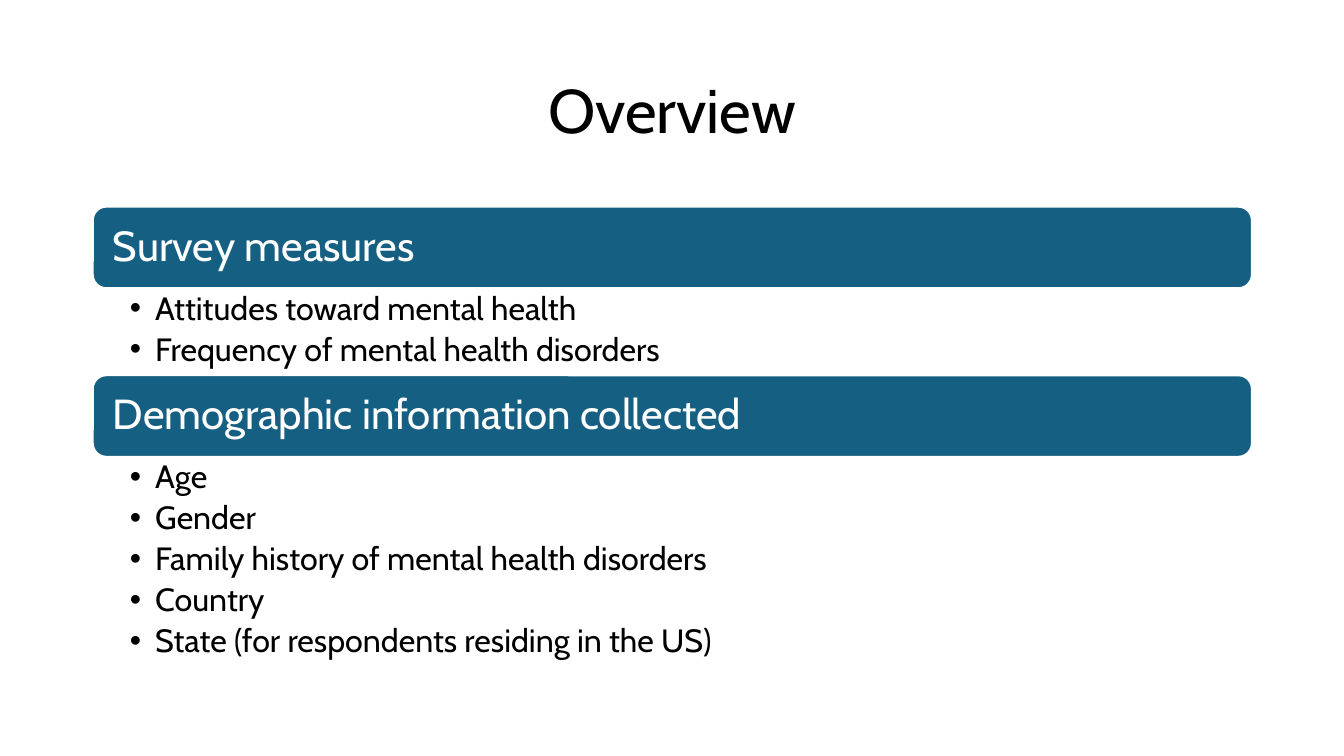
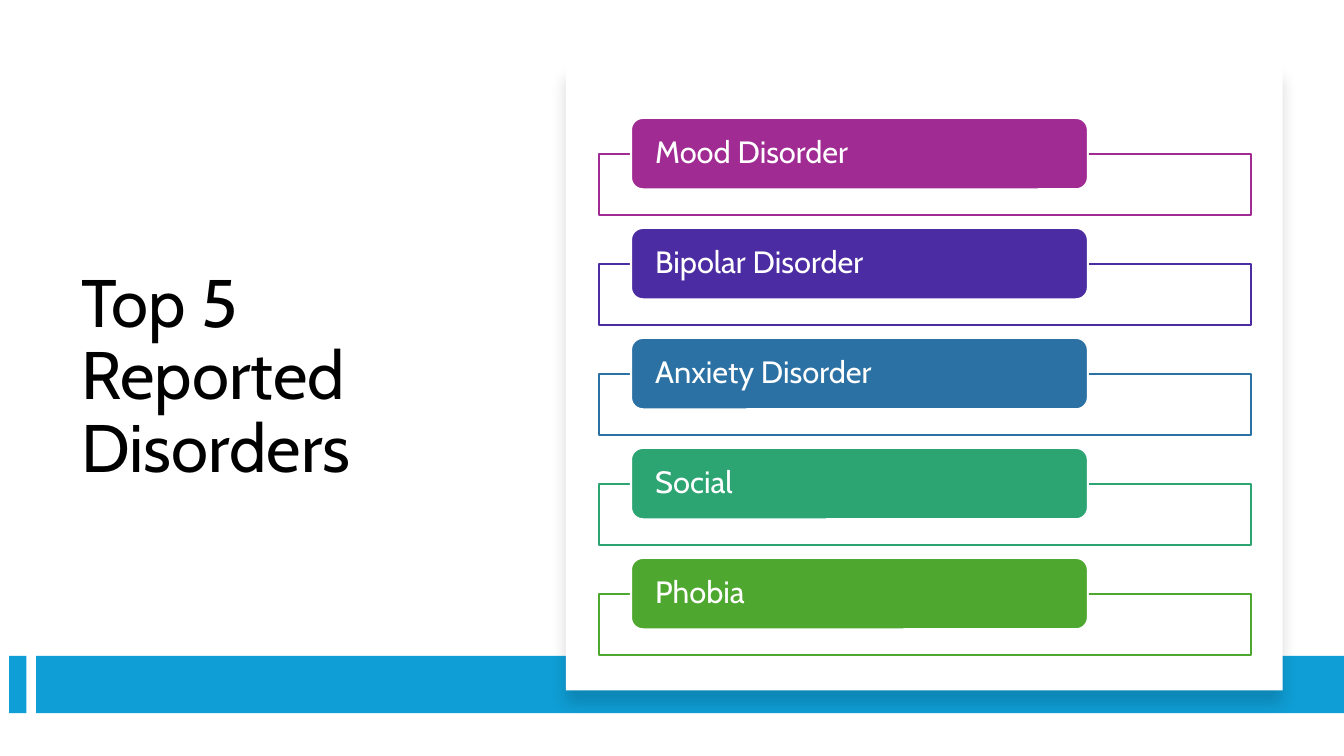
from lxml import etree
from pptx import Presentation
from pptx.dml.color import RGBColor
from pptx.enum.shapes import MSO_SHAPE
from pptx.enum.text import MSO_ANCHOR, PP_ALIGN
from pptx.oxml.ns import qn
from pptx.util import Inches, Pt

RECTANGLE, ROUNDED = MSO_SHAPE.RECTANGLE, MSO_SHAPE.ROUNDED_RECTANGLE
TOP, MIDDLE = MSO_ANCHOR.TOP, MSO_ANCHOR.MIDDLE
LEFT, CENTER = PP_ALIGN.LEFT, PP_ALIGN.CENTER

COLORS = {
    "white": "FFFFFF", "black": "000000", "navy": "156082", "sky": "0F9ED5",
    "purple": "A02B93", "indigo": "4B2CA2", "blue": "2C71A4",
    "teal": "2DA573", "green": "4EA72E",
}
FONT = "Cabin"
SECTIONS = [
    ("Survey measures", 11.5,
     ["Attitudes toward mental health", "Frequency of mental health disorders"]),
    ("Demographic information collected", 28.9,
     ["Age", "Gender", "Family history of mental health disorders", "Country",
      "State (for respondents residing in the US)"]),
]
DISORDERS = [
    ("Mood Disorder", "purple"), ("Bipolar Disorder", "indigo"),
    ("Anxiety Disorder", "blue"), ("Social", "teal"), ("Phobia", "green"),
]


class Deck:
    """Slide builder that takes boxes as percentages of the slide's size."""

    def __init__(self):
        self.presentation = Presentation()
        self.presentation.slide_width = Inches(13.33)
        self.presentation.slide_height = Inches(7.5)
        self.slide = None

    def add_slide(self):
        self.slide = self.presentation.slides.add_slide(self.presentation.slide_layouts[6])

    def across(self, share):
        return round(self.presentation.slide_width * share / 100)

    def down(self, share):
        return round(self.presentation.slide_height * share / 100)

    def place(self, box):
        left, top, width, height = box
        return self.across(left), self.down(top), self.across(width), self.down(height)

    def color(self, name):
        return RGBColor.from_string(COLORS[name])

    def set_text(self, shape, lines, size, color, anchor=MIDDLE, align=LEFT,
                 margins=(0.75, 0.67), bulleted=False):
        frame = shape.text_frame
        frame.word_wrap = True
        frame.vertical_anchor = anchor
        frame.margin_left = frame.margin_right = self.across(margins[0])
        frame.margin_top = frame.margin_bottom = self.down(margins[1])
        frame.text = "\n".join(lines)
        for paragraph in frame.paragraphs:
            paragraph.alignment = align
            paragraph.line_spacing = 0.9
            if bulleted:
                self.bullet(paragraph)
            paragraph.font.name = FONT
            paragraph.font.size = Pt(size)
            paragraph.font.color.rgb = self.color(color)

    def bullet(self, paragraph):
        paragraph.level = 1
        paragraph.space_after = Pt(4.4)
        properties = paragraph._p.get_or_add_pPr()
        indent = self.across(1.88)
        properties.set("marL", str(indent))
        properties.set("indent", str(-indent))
        etree.SubElement(properties, qn("a:buFont"), typeface="Arial")
        etree.SubElement(properties, qn("a:buChar"), char="•")

    def title(self, box, text, size, align=LEFT):
        shape = self.slide.shapes.add_textbox(*self.place(box))
        self.set_text(shape, [text], size, "black", align=align)

    def bullets(self, box, lines):
        shape = self.slide.shapes.add_textbox(*self.place(box))
        self.set_text(shape, lines, 23, "black", TOP, margins=(2.77, 0.53), bulleted=True)

    def block(self, box, fill, line=None, kind=RECTANGLE):
        shape = self.slide.shapes.add_shape(kind, *self.place(box))
        shape.shadow.inherit = False
        shape.fill.solid()
        shape.fill.fore_color.rgb = self.color(fill)
        if line:
            shape.line.color.rgb = self.color(line)
            shape.line.width = Pt(1.5)
        else:
            shape.line.fill.background()
        return shape

    def label(self, box, text, size, fill, margin):
        shape = self.block(box, fill, "white", ROUNDED)
        self.set_text(shape, [text], size, "white", margins=(margin, 0))

    def frame(self, box, line):
        shape = self.block(box, "white", line)
        fill_color = shape._element.spPr.find(qn("a:solidFill"))[0]
        etree.SubElement(fill_color, qn("a:alpha"), val="90000")

    def card(self, box):
        shape = self.block(box, "white")
        effects = shape._element.spPr.find(qn("a:effectLst"))
        shadow = etree.SubElement(
            effects, qn("a:outerShdw"), blurRad=str(Pt(11)), dist=str(Pt(10)),
            dir="5400000", algn="t", rotWithShape="0")
        shade = etree.SubElement(shadow, qn("a:srgbClr"), val=COLORS["black"])
        etree.SubElement(shade, qn("a:alpha"), val="15000")


def build_overview(deck):
    deck.add_slide()
    left, width, bar_height = 6.9, 86.25, 10.8
    deck.title((left, 5.33, width, 19.33), "Overview", 44, CENTER)
    top = 27.33
    for heading, list_height, items in SECTIONS:
        deck.label((left, top, width, bar_height), heading, 30, "navy", 1.2)
        deck.bullets((left, top + bar_height, width, list_height), items)
        top += bar_height + list_height


def build_disorders(deck):
    deck.add_slide()
    deck.title((5.3, 16, 31.15, 68), "Top 5 Reported Disorders", 48)
    for left, width in ((0.68, 1.28), (2.7, 97.3)):
        deck.block((left, 86.75, width, 7.6), "sky")
    deck.card((42.1, 8.53, 53.33, 82.8))
    label_height = 9.45
    for index, (name, color) in enumerate(DISORDERS):
        top = 15.6 + index * 14.55
        deck.frame((44.55, top + label_height / 2, 48.55, 8.13), color)
        deck.label((46.95, top, 34, label_height), name, 22, color, 1.55)


def main():
    deck = Deck()
    build_overview(deck)
    build_disorders(deck)
    deck.presentation.save("out.pptx")


if __name__ == "__main__":
    main()
